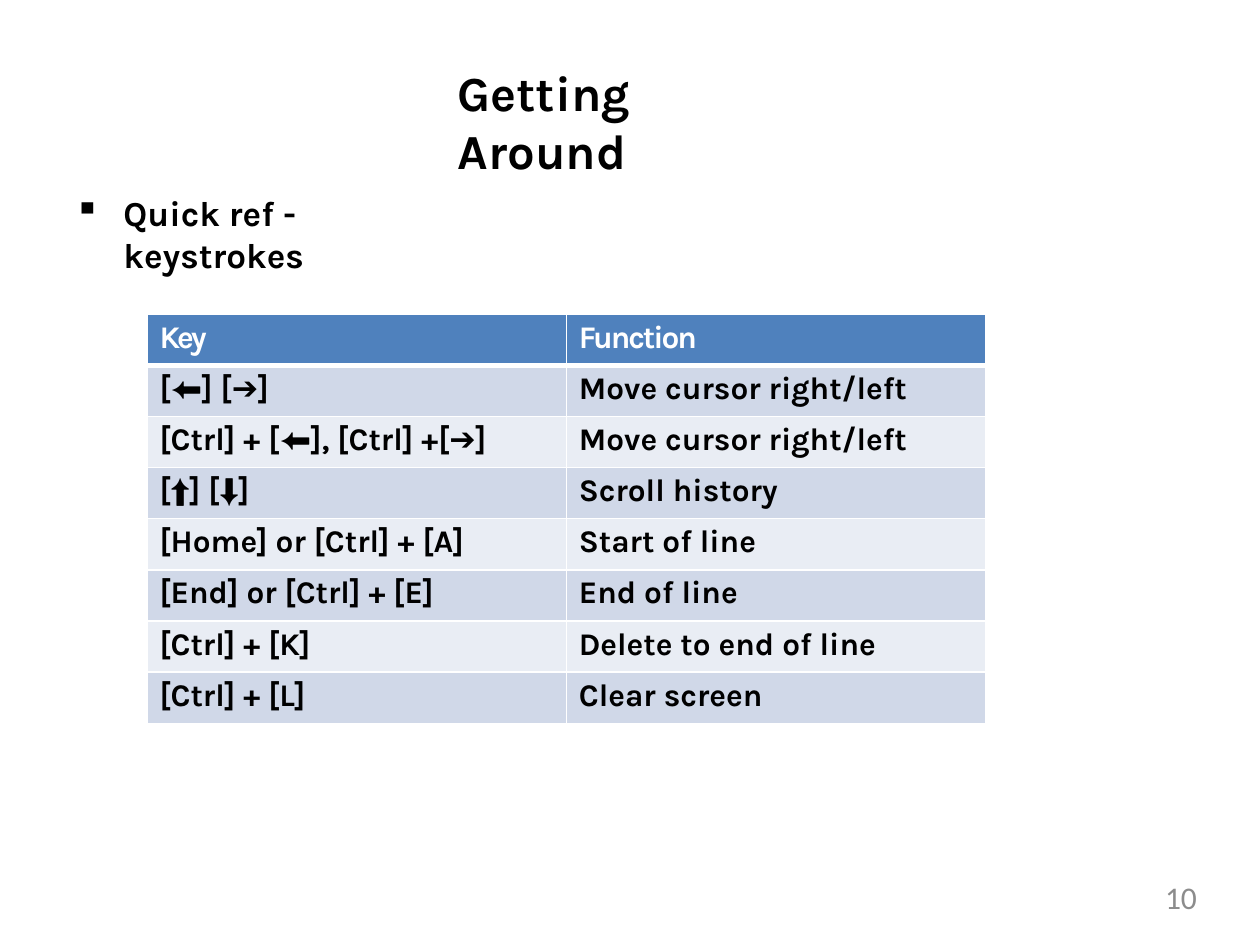
from dataclasses import dataclass
from itertools import groupby

from lxml import etree
from pptx import Presentation
from pptx.dml.color import RGBColor
from pptx.enum.text import MSO_ANCHOR, PP_ALIGN
from pptx.oxml.ns import qn
from pptx.util import Pt

LEFT, RIGHT, TOP = PP_ALIGN.LEFT, PP_ALIGN.RIGHT, MSO_ANCHOR.TOP
ARROWS = "⬅➔⬆⬇"


@dataclass(frozen=True)
class Theme:
    text_font: str = "Karla"
    arrow_font: str = "Arial"
    number_font: str = "Calibri"
    ink: str = "000000"
    white: str = "FFFFFF"
    muted: str = "8C8C8C"
    header: str = "4F81BD"
    bands: tuple = ("D0D8E8", "E9EDF4")
    title_size: int = 28
    body_size: int = 20
    small_size: int = 18


def set_values(target, values):
    for name, value in values.items():
        setattr(target, name, value)


class SlideBuilder:
    def __init__(self, slide, theme):
        self.slide = slide
        self.theme = theme

    def add_runs(self, paragraph, text, size, color, font=None, bold=True, spacing=0):
        for is_arrow, letters in groupby(text, key=lambda letter: letter in ARROWS):
            run = paragraph.add_run()
            run.text = "".join(letters)
            family = self.theme.arrow_font if is_arrow else font or self.theme.text_font
            set_values(run.font, {
                "name": family, "size": Pt(size), "bold": bold and not is_arrow,
            })
            run.font.color.rgb = RGBColor.from_string(color)
            if spacing:
                run._r.get_or_add_rPr().set("spc", str(round(spacing * 100)))

    def text(self, box, text, size, color, align=LEFT, before=0, right_margin=0, **style):
        frame = self.slide.shapes.add_textbox(*map(Pt, box)).text_frame
        set_values(frame, {
            "word_wrap": True, "vertical_anchor": TOP, "margin_left": 0,
            "margin_top": 0, "margin_right": Pt(right_margin), "margin_bottom": 0,
        })
        paragraph = frame.paragraphs[0]
        set_values(paragraph, {"alignment": align, "space_before": Pt(before)})
        self.add_runs(paragraph, text, size, color, **style)
        return paragraph

    def bullet(self, box, text, indent, mark):
        paragraph = self.text(box, text, self.theme.body_size, self.theme.ink, before=1.1)
        properties = paragraph._p.get_or_add_pPr()
        properties.set("marL", str(Pt(indent)))
        properties.set("indent", str(-Pt(indent)))
        etree.SubElement(properties, qn("a:buChar")).set("char", mark)

    def border(self, cell, widths):
        properties = cell._tc.get_or_add_tcPr()
        for position, (side, width) in enumerate(widths.items()):
            line = etree.Element(qn(f"a:ln{side}"), w=str(Pt(width)))
            fill = etree.SubElement(line, qn("a:solidFill"))
            etree.SubElement(fill, qn("a:srgbClr"), val=self.theme.white)
            properties.insert(position, line)

    def table(self, left, top, column_width, row_height, rows, header_spacing):
        theme = self.theme
        columns = len(rows[0])
        grid = self.slide.shapes.add_table(
            len(rows), columns, Pt(left), Pt(top),
            Pt(column_width * columns), Pt(row_height * len(rows)),
        ).table
        for column in grid.columns:
            column.width = Pt(column_width)
        for r, row in enumerate(rows):
            grid.rows[r].height = Pt(row_height)
            for c, text in enumerate(row):
                cell = grid.cell(r, c)
                set_values(cell, {
                    "margin_left": Pt(7.2), "margin_top": Pt(2.9),
                    "margin_right": 0, "margin_bottom": 0, "vertical_anchor": TOP,
                })
                cell.fill.solid()
                fill = theme.bands[(r - 1) % 2] if r else theme.header
                cell.fill.fore_color.rgb = RGBColor.from_string(fill)
                self.border(cell, {
                    "L": 1, "R": 1, "T": 3 if r == 1 else 1, "B": 1 if r else 3,
                })
                paragraph = cell.text_frame.paragraphs[0]
                paragraph.space_before = Pt(2.8)
                self.add_runs(
                    paragraph, text, theme.small_size,
                    theme.ink if r else theme.white,
                    spacing=0 if r else header_spacing[c],
                )


KEYSTROKES = [
    ("Key", "Function"),
    ("[⬅] [➔]", "Move cursor right/left"),
    ("[Ctrl] + [⬅], [Ctrl] +[➔]", "Move cursor right/left"),
    ("[⬆] [⬇]", "Scroll history"),
    ("[Home] or [Ctrl] + [A]", "Start of line"),
    ("[End] or [Ctrl] + [E]", "End of line"),
    ("[Ctrl] + [K]", "Delete to end of line"),
    ("[Ctrl] + [L]", "Clear screen"),
]


def main():
    theme = Theme()
    deck = Presentation()
    set_values(deck, {"slide_width": Pt(720), "slide_height": Pt(540)})
    builder = SlideBuilder(deck.slides.add_slide(deck.slide_layouts[6]), theme)
    builder.text((261.5, 35.5, 197, 35), "Getting Around", theme.title_size,
                 theme.ink, before=0.9, right_margin=36)
    builder.bullet((42.5, 109.5, 214.5, 26), "Quick ref - keystrokes", 28, "▪")
    builder.table(84, 179.5, 239.6, 29.25, KEYSTROKES, (-1.7, -1.2))
    builder.text((518.4, 502, 165.6, 27), "10", theme.small_size, theme.muted,
                 align=RIGHT, font=theme.number_font, bold=False)
    deck.save("out.pptx")


if __name__ == "__main__":
    main()
